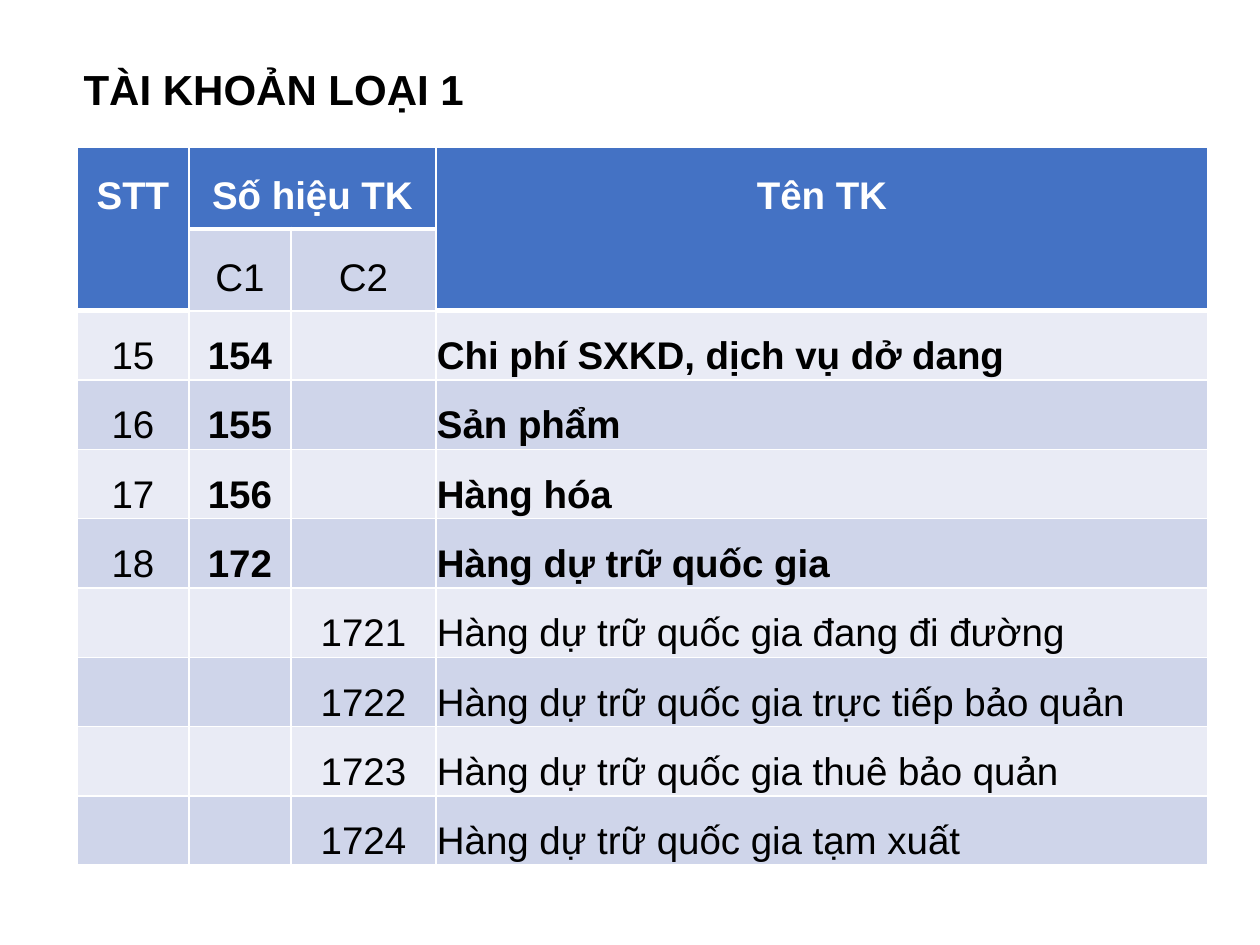
from pptx import Presentation, util as u
from pptx.dml.color import RGBColor
from pptx.enum import text
from pptx.oxml import parse_xml
from pptx.oxml.ns import nsdecls

SCALE = 914400 / 126


def px(length):
    return u.Emu(round(length * SCALE))


def style(span, size, color, bold):
    span.font.name = "Arial"
    span.font.size = u.Pt(size)
    span.font.bold = bold
    span.font.color.rgb = RGBColor.from_string(color)


deck = Presentation()
deck.slide_width, deck.slide_height = px(1260), px(945)
page = deck.slides.add_slide(deck.slide_layouts[5])

title = page.shapes.title
title.left, title.top, title.width, title.height = px(71), px(57), px(406), px(63)
box = title.text_frame
box.word_wrap = False
box.auto_size = text.MSO_AUTO_SIZE.SHAPE_TO_FIT_TEXT
box.vertical_anchor = text.MSO_ANCHOR.TOP
para = box.paragraphs[0]
para.alignment = text.PP_ALIGN.LEFT
span = para.add_run()
span.text = "TÀI KHOẢN LOẠI 1"
style(span, 24, "000000", True)

accounts = [
    ("STT", "Số hiệu TK", "", "Tên TK"),
    ("", "C1", "C2", ""),
    ("15", "154", "", "Chi phí SXKD, dịch vụ dở dang"),
    ("16", "155", "", "Sản phẩm"),
    ("17", "156", "", "Hàng hóa"),
    ("18", "172", "", "Hàng dự trữ quốc gia"),
    ("", "", "1721", "Hàng dự trữ quốc gia đang đi đường"),
    ("", "", "1722", "Hàng dự trữ quốc gia trực tiếp bảo quản"),
    ("", "", "1723", "Hàng dự trữ quốc gia thuê bảo quản"),
    ("", "", "1724", "Hàng dự trữ quốc gia tạm xuất"),
]
column_widths = [112, 102, 145, 772]
row_heights = [78] * 2 + [64] * 8

table = page.shapes.add_table(
    len(row_heights), len(column_widths), px(77), px(147),
    px(sum(column_widths)), px(sum(row_heights))).table
for column, width in zip(table.columns, column_widths):
    column.width = px(width)
for row, height in zip(table.rows, row_heights):
    row.height = px(height)

for r, account in enumerate(accounts):
    for c, label in enumerate(account):
        cell = table.cell(r, c)
        header = r == 0 or (r == 1 and c in (0, 3))
        cell.fill.solid()
        fill = "4472C4" if header else ("E9EBF5", "CFD5EA")[r % 2]
        cell.fill.fore_color.rgb = RGBColor.from_string(fill)

        properties = cell._tc.get_or_add_tcPr()
        for place, side in enumerate("LRTB"):
            weight = 3 if header and side == "B" else 1
            properties.insert(place, parse_xml(
                f'<a:ln{side} {nsdecls("a")} w="{u.Pt(weight)}"><a:solidFill>'
                f'<a:srgbClr val="FFFFFF"/></a:solidFill></a:ln{side}>'))

        if not label:
            continue
        if r > 1:
            cell.vertical_anchor = text.MSO_ANCHOR.MIDDLE
            cell.margin_left = cell.margin_right = px(1)
            cell.margin_top = cell.margin_bottom = 0
        para = cell.text_frame.paragraphs[0]
        para.line_spacing = 1.5
        if header or c < 3:
            para.alignment = text.PP_ALIGN.CENTER
        main_account = 2 <= r <= 5 and c > 0
        span = para.add_run()
        span.text = label
        style(span, 22, "FFFFFF" if header else "000000", header or main_account)

table.cell(0, 0).merge(table.cell(1, 0))
table.cell(0, 1).merge(table.cell(0, 2))
table.cell(0, 3).merge(table.cell(1, 3))

deck.save("out.pptx")
